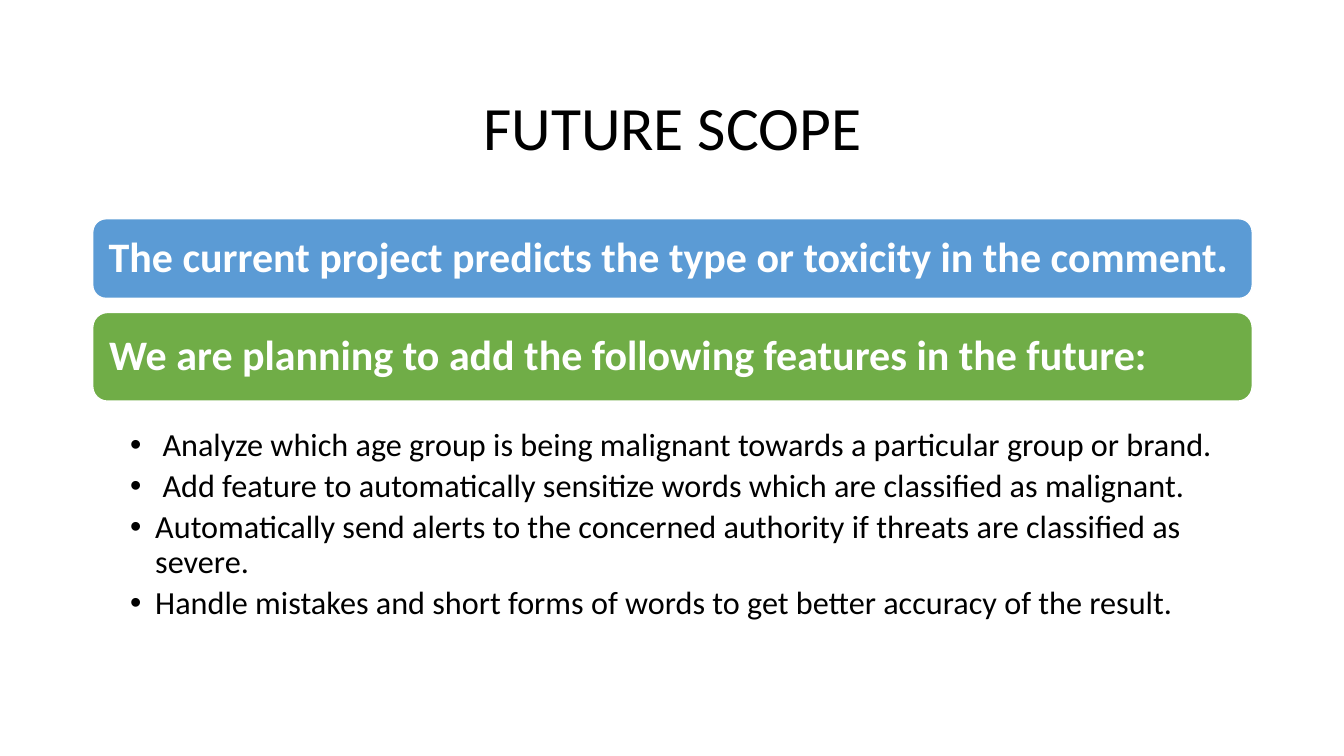
from lxml import etree
from pptx import Presentation
from pptx.dml.color import RGBColor
from pptx.enum.shapes import MSO_SHAPE
from pptx.enum.text import MSO_ANCHOR, PP_ALIGN
from pptx.oxml.ns import qn
from pptx.util import Pt

PX = 9144  # EMU, 100 px to the inch
ROUNDED = MSO_SHAPE.ROUNDED_RECTANGLE
MIDDLE = MSO_ANCHOR.MIDDLE
LEFT, CENTER = PP_ALIGN.LEFT, PP_ALIGN.CENTER
FONT = "Calibri"
BLACK, WHITE, BLUE, GREEN = "000000", "FFFFFF", "5B9BD5", "70AD47"

STATEMENTS = [
    ("The current project predicts the type or toxicity in the comment.",
     BLUE, (92, 217, 1150, 79)),
    ("We are planning to add the following features in the future:",
     GREEN, (92, 310, 1150, 88)),
]
FEATURES = [
    " Analyze which age group is being malignant towards a particular group or brand.",
    " Add feature to automatically sensitize words which are classified as malignant.",
    "Automatically send alerts to the concerned authority if threats are classified as severe.",
    "Handle mistakes and short forms of words to get better accuracy of the result.",
]


def px(*lengths):
    return [length * PX for length in lengths]


def color(hex_value):
    return RGBColor.from_string(hex_value)


def set_margins(frame, left, top, right, bottom):
    frame.word_wrap = True
    (frame.margin_left, frame.margin_top,
     frame.margin_right, frame.margin_bottom) = px(left, top, right, bottom)


def format_paragraph(paragraph, size, hex_value, bold=False, align=LEFT):
    paragraph.alignment = align
    paragraph.line_spacing = 0.9
    for run in paragraph.runs:
        run.font.name = FONT
        run.font.size = Pt(size)
        run.font.bold = bold
        run.font.color.rgb = color(hex_value)


def add_bullet(paragraph, indent):
    properties = paragraph._p.get_or_add_pPr()
    properties.set("marL", str(indent * PX))
    properties.set("indent", str(-indent * PX))
    etree.SubElement(properties, qn("a:buFont"), typeface="Arial")
    etree.SubElement(properties, qn("a:buChar"), char="•")


def place_title(slide, box):
    title = slide.shapes.title
    title.left, title.top, title.width, title.height = px(*box)
    title.text_frame.text = "FUTURE SCOPE"
    title.text_frame.vertical_anchor = MIDDLE
    format_paragraph(title.text_frame.paragraphs[0], 44, BLACK, align=CENTER)


def add_statement(slide, text, fill, box):
    bar = slide.shapes.add_shape(ROUNDED, *px(*box))
    bar.shadow.inherit = False
    bar.fill.solid()
    bar.fill.fore_color.rgb = color(fill)
    bar.line.color.rgb = color(WHITE)
    bar.line.width = Pt(1)
    frame = bar.text_frame
    set_margins(frame, 12, 12, 12, 12)
    frame.vertical_anchor = MIDDLE
    frame.text = text
    format_paragraph(frame.paragraphs[0], 30, WHITE, bold=True)


def add_features(slide, box):
    frame = slide.shapes.add_textbox(*px(*box)).text_frame
    set_margins(frame, 37, 4, 23, 4)
    frame.text = "\n".join(FEATURES)
    for feature in frame.paragraphs:
        feature.level = 1
        format_paragraph(feature, 23, BLACK)
        feature.space_after = Pt(4.6)
        add_bullet(feature, 25)


def main():
    presentation = Presentation()
    presentation.slide_width, presentation.slide_height = px(1333, 750)
    slide = presentation.slides.add_slide(presentation.slide_layouts[5])
    place_title(slide, (92, 74, 1150, 111))
    for text, fill, box in STATEMENTS:
        add_statement(slide, text, fill, box)
    add_features(slide, (92, 421, 1150, 211))
    presentation.save("out.pptx")


if __name__ == "__main__":
    main()
